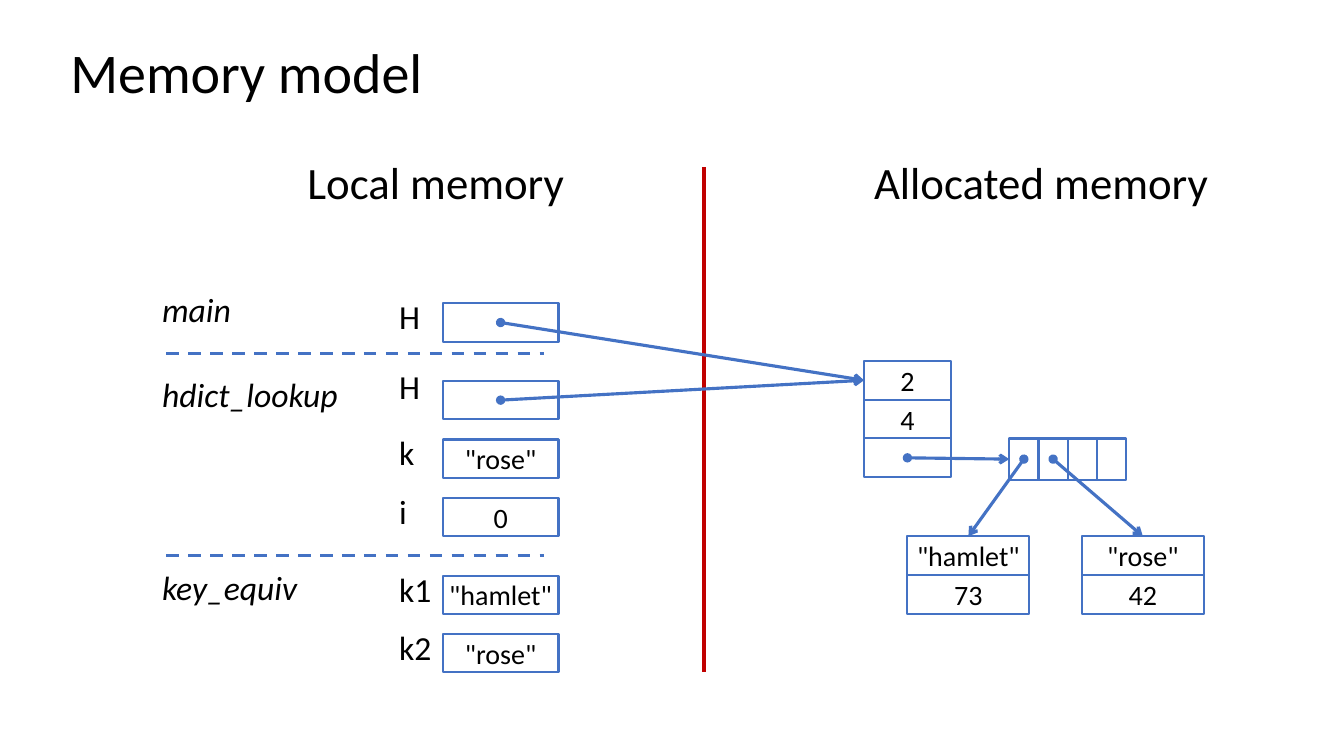
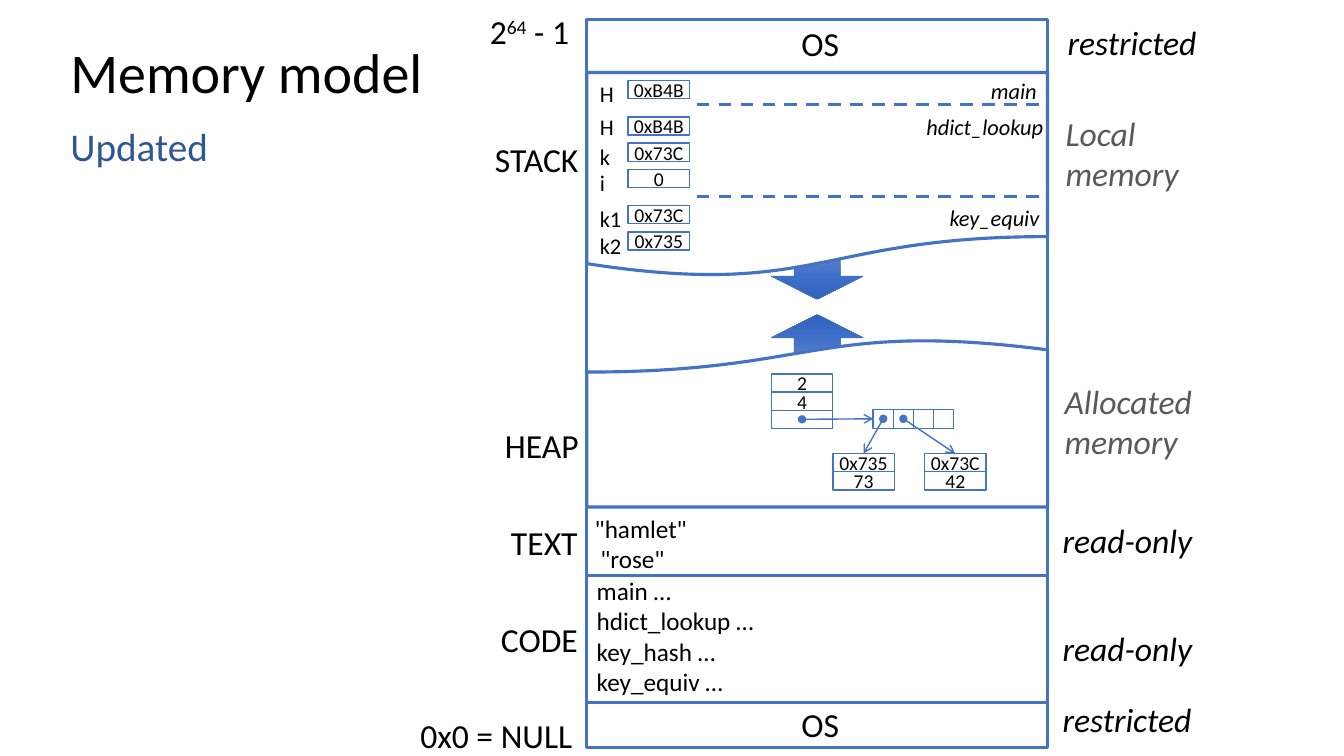
import copy
import pptx
import pptx.util
from pptx.dml.color import RGBColor
from pptx.enum.dml import MSO_LINE
from pptx.enum.shapes import MSO_CONNECTOR, MSO_SHAPE
from pptx.enum.text import MSO_ANCHOR, MSO_AUTO_SIZE, PP_ALIGN
from pptx.oxml import parse_xml
from pptx.oxml.ns import nsdecls
from pptx.util import Inches

BLACK = RGBColor(0x00, 0x00, 0x00)
WHITE = RGBColor(0xFF, 0xFF, 0xFF)
BLUE = RGBColor(0x44, 0x72, 0xC4)
NAVY = RGBColor(0x2F, 0x55, 0x97)
GRAY = RGBColor(0x59, 0x59, 0x59)
RED = RGBColor(0xC0, 0x00, 0x00)
GRADIENT = [(0, RGBColor(0x61, 0x83, 0xCB)), (0.5, RGBColor(0x3E, 0x70, 0xCA)),
            (1, RGBColor(0x30, 0x62, 0xBB))]
FONT = "Calibri"
TITLE = "Memory model"

VARIABLES = ["H", "H", "k", "i", "k1", "k2"]
FRAME_STARTS = (1, 4)  # variables that open a new stack frame

# Stack drawings: frames and headings hold text, left, top, width
LOCAL_STACK = dict(
    values=["", "", '"rose"', "0", '"hamlet"', '"rose"'],
    box=(4.39, 3.01, 1.15, 0.38), step=0.58, frame_step=0.77,
    label_left=3.86, label_width=0.52, label_rise=0.12, second_rise=0.2,
    frames=[("main", 1.51, 2.82, 0.89), ("hdict_lookup", 1.51, 3.66, 1.96),
            ("key_equiv", 1.51, 5.58, 1.56)],
    dividers=(1.65, 5.4, (3.51, 5.51)), size=24, value_size=20, weight=1.5)
ADDRESS_STACK = dict(
    values=["0xB4B", "0xB4B", "0x73C", "0", "0x73C", "0x735"],
    box=(6.23, 0.8, 0.61, 0.18), step=0.26, frame_step=0.36,
    label_left=5.85, label_width=0.51, label_rise=0.05, second_rise=0.09,
    frames=[("main", 9.73, 0.72, 0.81), ("hdict_lookup", 9.09, 1.07, 1.67),
            ("key_equiv", 9.32, 1.98, 1.34)],
    dividers=(6.91, 10.39, (1.04, 1.95)), size=16, value_size=14, weight=1)

# Hash dictionaries: fields, bucket array and the entries it points to
LOCAL_DICT = dict(
    header=(8.57, 3.58, 0.86, 0.385), buckets=(10.01, 4.35, 0.29, 0.41),
    entries=[(9, '"hamlet"', "73"), (10.73, '"rose"', "42")],
    entry_top=5.32, entry_width=1.21, size=20, weight=1.5, arrow_weight=2.25)
ADDRESS_DICT = dict(
    header=(7.65, 3.71, 0.61, 0.18), buckets=(8.66, 4.06, 0.2, 0.19),
    entries=[(8.26, "0x735", "73"), (9.17, "0x73C", "42")],
    entry_top=4.5, entry_width=0.61, size=14, weight=1, arrow_weight=1)

HEADINGS = [("Local memory", 2.95, 1.49, 2.77), ("Allocated memory", 8.57, 1.49, 3.55)]

MAP_LEFT, MAP_WIDTH = 5.82, 4.57
# Text between carets is superscript
SEGMENTS = [
    ("OS", 7.85, 0.18, 0.71), ("OS", 7.85, 6.93, 0.71),
    ("CODE", 4.87, 6.09, 1.18), ("TEXT", 4.97, 5.13, 1.06),
    ("HEAP", 4.91, 4.17, 1.15), ("STACK", 4.81, 1.33, 1.27),
    ("2^64^ - 1", 4.76, 0.06, 1.02), ("0x0 = NULL", 4.07, 7.04, 1.72)]
ACCESS = [
    ("Local\nmemory", 10.47, 1.07, 1.63, GRAY),
    ("Allocated\nmemory", 10.46, 3.73, 1.8, GRAY),
    ("read-only", 10.44, 5.11, 1.83, BLACK),
    ("read-only", 10.44, 6.18, 1.83, BLACK),
    ("restricted", 10.44, 6.88, 1.82, BLACK),
    ("restricted", 10.49, 0.17, 1.82, BLACK)]
CONTENTS = [
    ("main …\nhdict_lookup …\nkey_hash …\nkey_equiv …", 5.82, 5.66, 2.34),
    ('"hamlet"\n "rose"', 5.8, 5.04, 1.56)]


def write(tf, text, size, color=BLACK, italic=False, **para):
    """Fill a frame, one paragraph a line; text between carets is raised."""
    font = dict(size=pptx.util.Pt(size), name=FONT, italic=italic)
    for i, line in enumerate(text.split("\n")):
        p = tf.paragraphs[0] if i == 0 else tf.add_paragraph()
        for name, value in para.items():
            setattr(p, name, value)
        for j, part in enumerate(line.split("^")):
            r = p.add_run()
            r.text = part
            for name, value in font.items():
                setattr(r.font, name, value)
            r.font.color.rgb = color
            if j % 2:
                r.font._element.set("baseline", "30000")


def add_label(s, text, left, top, width, size, color=BLACK, italic=False, wrap=False):
    height = 0.1 + size / 60 * (text.count("\n") + 1)
    tf = s.shapes.add_textbox(*map(Inches, (left, top, width, height))).text_frame
    tf.word_wrap = wrap
    tf.auto_size = MSO_AUTO_SIZE.SHAPE_TO_FIT_TEXT
    write(tf, text, size, color, italic)


def add_heading(s, text, top, width, height, size, color=BLACK, anchor=MSO_ANCHOR.TOP):
    tf = s.shapes.add_textbox(*map(Inches, (0.6, top, width, height))).text_frame
    tf.word_wrap = True
    tf.vertical_anchor = anchor
    write(tf, text, size, color, line_spacing=0.9)


def add_outline(s, at, weight, text="", size=20, kind=MSO_SHAPE.RECTANGLE, fill=None):
    sp = s.shapes.add_shape(kind, *map(Inches, at))
    sp.shadow.inherit = False
    if fill is None:
        sp.fill.background()
    else:
        sp.fill.solid()
        sp.fill.fore_color.rgb = fill
    sp.line.color.rgb = BLUE
    sp.line.width = pptx.util.Pt(weight)
    if text:
        tf = sp.text_frame
        tf.word_wrap = False
        tf.vertical_anchor = MSO_ANCHOR.MIDDLE
        for side in ("left", "right", "top", "bottom"):
            setattr(tf, f"margin_{side}", 0)
        write(tf, text, size, alignment=PP_ALIGN.CENTER)
    return sp


def add_line(s, start, end, weight, color=BLUE, dash=False, pointer=False):
    cx = s.shapes.add_connector(MSO_CONNECTOR.STRAIGHT, *map(Inches, (*start, *end)))
    cx.line.color.rgb = color
    cx.line.width = pptx.util.Pt(weight)
    if dash:
        cx.line.dash_style = MSO_LINE.DASH
    spPr = cx._element.spPr
    if pointer:
        ln = spPr.xpath("a:ln")[0]
        for tag, kind in (("headEnd", "oval"), ("tailEnd", "arrow")):
            ln.append(parse_xml(f'<a:{tag} {nsdecls("a")} type="{kind}"/>'))
    spPr.append(parse_xml(f'<a:effectLst {nsdecls("a")}/>'))


def add_block_arrow(s, top, rotation):
    sp = add_outline(s, (7.65, top, 0.91, 0.46), 0.5, kind=MSO_SHAPE.DOWN_ARROW)
    sp.rotation = rotation
    sp.fill.gradient()
    sp.fill.gradient_angle = 270
    first = sp._element.spPr.xpath(".//a:gs")[0]
    first.addnext(copy.deepcopy(first))
    for stop, (position, color) in zip(sp.fill.gradient_stops, GRADIENT):
        stop.position = position
        stop.color.rgb = color


def add_stack(s, d):
    """Draw the variables by frame and return the centres of their boxes."""
    left, top, width, height = d["box"]
    centres = []
    for i, (name, value) in enumerate(zip(VARIABLES, d["values"])):
        if i:
            top += d["frame_step"] if i in FRAME_STARTS else d["step"]
        add_outline(s, (left, top, width, height), d["weight"], value, d["value_size"])
        rise = d["second_rise"] if i == 1 else d["label_rise"]
        add_label(s, name, d["label_left"], top - rise, d["label_width"], d["size"])
        centres.append((left + width / 2, top + height / 2))
    for frame in d["frames"]:
        add_label(s, *frame, d["size"], italic=True)
    x1, x2, ys = d["dividers"]
    for y in ys:
        add_line(s, (x1, y), (x2, y), 2.25, dash=True)
    return centres


def add_dict(s, d):
    """Draw a hash dictionary and return the point where references enter it."""
    left, top, width, height = d["header"]
    bx, by, bw, bh = d["buckets"]
    weight, size = d["weight"], d["size"]
    for i, text in enumerate(["2", "4", ""]):
        add_outline(s, (left, top + i * height, width, height), weight, text, size)
    for i in range(4):
        add_outline(s, (bx + i * bw, by, bw, bh), weight)
    middle = by + bh / 2
    pointers = [((left + width / 2, top + 2.5 * height), (bx, middle))]
    for i, (x, *fields) in enumerate(d["entries"]):
        for j, text in enumerate(fields):
            at = (x, d["entry_top"] + j * height, d["entry_width"], height)
            add_outline(s, at, weight, text, size)
        pointers.append(((bx + (i + 0.5) * bw, middle),
                         (x + d["entry_width"] / 2, d["entry_top"])))
    for start, end in pointers:
        add_line(s, start, end, d["arrow_weight"], pointer=True)
    return left, top + height / 2


def add_slide(prs):
    s = prs.slides.add_slide(prs.slide_layouts[6])
    add_heading(s, TITLE, 0.4, 11.5, 0.69, 40, anchor=MSO_ANCHOR.MIDDLE)
    return s


def add_local_model(prs):
    s = add_slide(prs)
    entry = add_dict(s, LOCAL_DICT)
    centres = add_stack(s, LOCAL_STACK)
    for heading in HEADINGS:
        add_label(s, *heading, 32)
    add_line(s, (6.98, 1.66), (6.98, 6.67), 3, RED)
    for centre in centres[:2]:
        add_line(s, centre, entry, 2.25, pointer=True)


def add_address_model(prs):
    s = add_slide(prs)
    add_heading(s, "Updated", 1.22, 3.18, 0.74, 28, NAVY)
    add_outline(s, (MAP_LEFT, 0.19, MAP_WIDTH, 7.23), 2.25)
    for top, height, rotation in ((0.72, 2.03, 0), (3.36, 1.67, 180)):
        add_block_arrow(s, 3.12 if rotation else 2.51, rotation)
        sp = add_outline(s, (MAP_LEFT, top, MAP_WIDTH, height), 2.25,
                         kind=MSO_SHAPE.FLOWCHART_DOCUMENT, fill=WHITE)
        sp.rotation = rotation
    add_outline(s, (MAP_LEFT, 5.71, MAP_WIDTH, 1.26), 2.25)
    for segment in SEGMENTS:
        add_label(s, *segment, 24)
    for content in CONTENTS:
        add_label(s, *content, 18, wrap=True)
    for *label, color in ACCESS:
        add_label(s, *label, 24, color, italic=True)
    add_dict(s, ADDRESS_DICT)
    add_stack(s, ADDRESS_STACK)


def main():
    prs = pptx.Presentation()
    prs.slide_width, prs.slide_height = Inches(13.33), Inches(7.5)
    add_local_model(prs)
    add_address_model(prs)
    prs.save("out.pptx")


if __name__ == "__main__":
    main()
